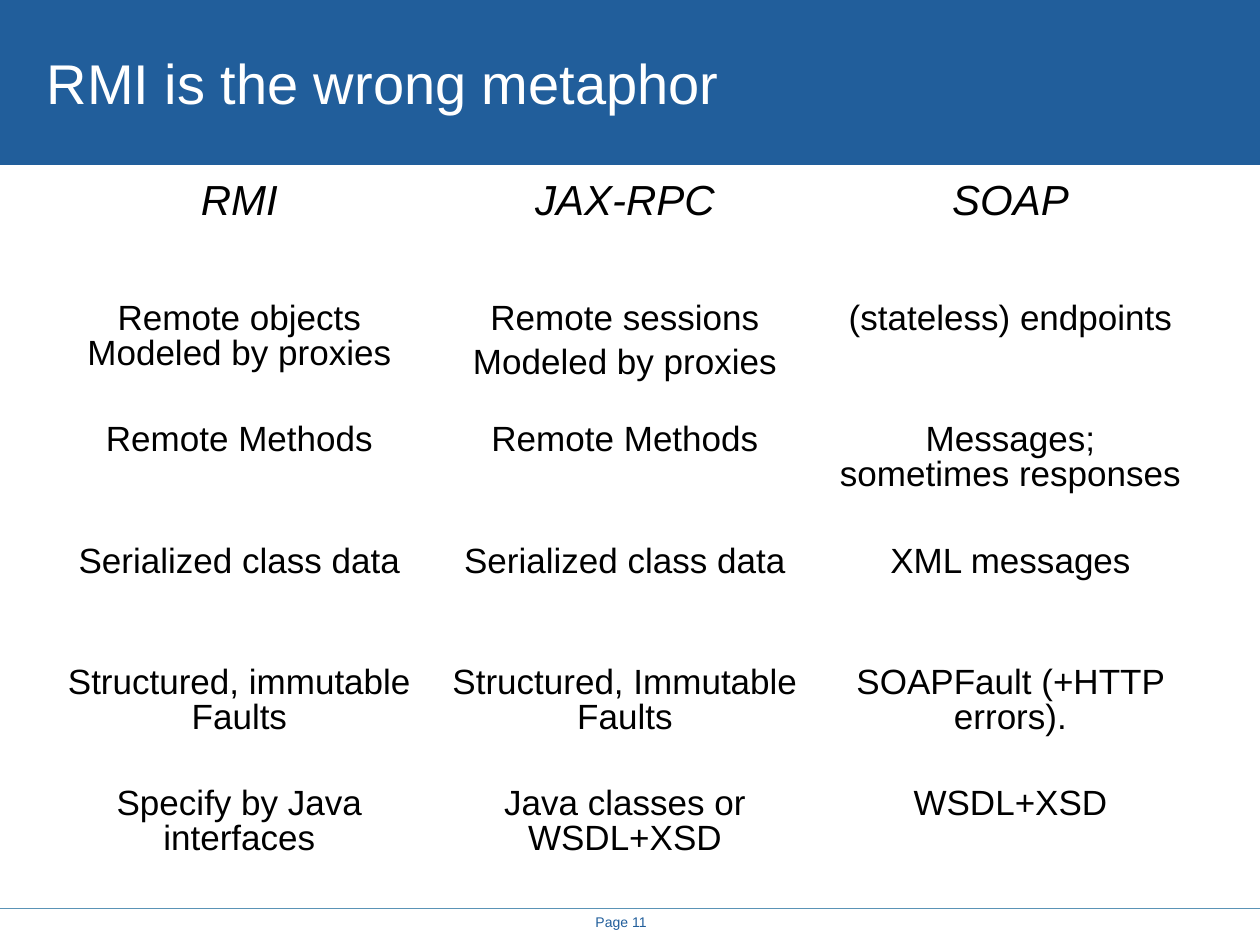
from lxml import etree
from pptx import Presentation
from pptx.dml.color import RGBColor
from pptx.enum.shapes import MSO_CONNECTOR, MSO_SHAPE
from pptx.enum.text import MSO_ANCHOR, PP_ALIGN
from pptx.oxml.ns import qn
from pptx.util import Inches, Pt

LINE, RECT = MSO_CONNECTOR.STRAIGHT, MSO_SHAPE.RECTANGLE
LEFT, CENTER = PP_ALIGN.LEFT, PP_ALIGN.CENTER
MIDDLE = MSO_ANCHOR.MIDDLE

BLUE = RGBColor(0x21, 0x5E, 0x9B)
RULE = RGBColor(0x5A, 0x93, 0xB6)
WHITE = RGBColor(0xFF, 0xFF, 0xFF)
BLACK = RGBColor(0, 0, 0)

WIDE, HIGH = Inches(10), Inches(7.5)
EDGE = Inches(0.37)

# "\n" starts a paragraph, "\v" breaks a line
ROWS = [
    ["RMI", "JAX-RPC", "SOAP"],
    ["Remote objects\vModeled by proxies",
     "Remote sessions\nModeled by proxies", "(stateless) endpoints"],
    ["Remote Methods", "Remote Methods", "Messages;\vsometimes responses"],
    ["Serialized class data", "Serialized class data", "XML messages"],
    ["Structured, immutable Faults", "Structured, Immutable Faults",
     "SOAPFault (+HTTP errors)."],
    ["Specify by Java interfaces", "Java classes or WSDL+XSD", "WSDL+XSD"],
]


def style(para, size, color, align, italic=False):
    para.alignment = align
    for run in para.runs:
        font = run.font
        font.name, font.size, font.italic = "Arial", Pt(size), italic
        font.color.rgb = color


def label(slide, text, box, size, color, align, wrap=True):
    frame = slide.shapes.add_textbox(*box).text_frame
    frame.margin_left = frame.margin_right = 0
    frame.margin_top = frame.margin_bottom = 0
    frame.word_wrap = wrap
    frame.vertical_anchor = MIDDLE
    frame.text = text
    style(frame.paragraphs[0], size, color, align)


def header(slide, text, left, top, width, height):
    # Full-width band with the title centred on its height
    band = slide.shapes.add_shape(RECT, left, top, width, height)
    band.shadow.inherit = False
    band.fill.solid()
    band.fill.fore_color.rgb = BLUE
    band.line.fill.background()
    tall = Inches(0.9)
    box = left + EDGE, top + (height - tall) // 2, int(width * 0.8), tall
    label(slide, text, box, 32, WHITE, LEFT)


def grid(slide, rows, left, top, width, height):
    # Comparison table: equal columns and rows, italic heads
    table = slide.shapes.add_table(
        len(rows), len(rows[0]), left, top, width, height).table
    table.first_row = table.horz_banding = False
    for r, row in enumerate(rows):
        head = r == 0
        size, gap = (24, Pt(3)) if head else (20, Pt(2.5))
        for c, text in enumerate(row):
            cell = table.cell(r, c)
            cell.fill.background()
            cell.text_frame.text = text
            for i, para in enumerate(cell.text_frame.paragraphs):
                style(para, size, BLACK, CENTER, italic=head)
                para.line_spacing = 0.9
                para.space_before = gap if i else 0
                para.space_after = gap


def footer(slide, text, left, top, width):
    # Thin rule with the page number below it
    rule = slide.shapes.add_connector(LINE, left, top, left + width, top)
    rule.line.color.rgb = RULE
    rule.line.width = Pt(0.75)
    etree.SubElement(rule._element.spPr, qn("a:effectLst"))
    wide = Inches(0.8)
    box = left + Inches(4.53), top + Inches(0.04), wide, Inches(0.13)
    label(slide, text, box, 8, BLUE, CENTER, wrap=False)


def main():
    deck = Presentation()
    deck.slide_width, deck.slide_height = WIDE, HIGH
    slide = deck.slides.add_slide(deck.slide_layouts[6])
    header(slide, "RMI is the wrong metaphor", 0, 0, WIDE, Inches(1.31))
    grid(slide, ROWS, EDGE, Inches(1.39), Inches(9.18), Inches(5.77))
    footer(slide, "Page 11", 0, Inches(7.21), WIDE)
    deck.save("out.pptx")


if __name__ == "__main__":
    main()
